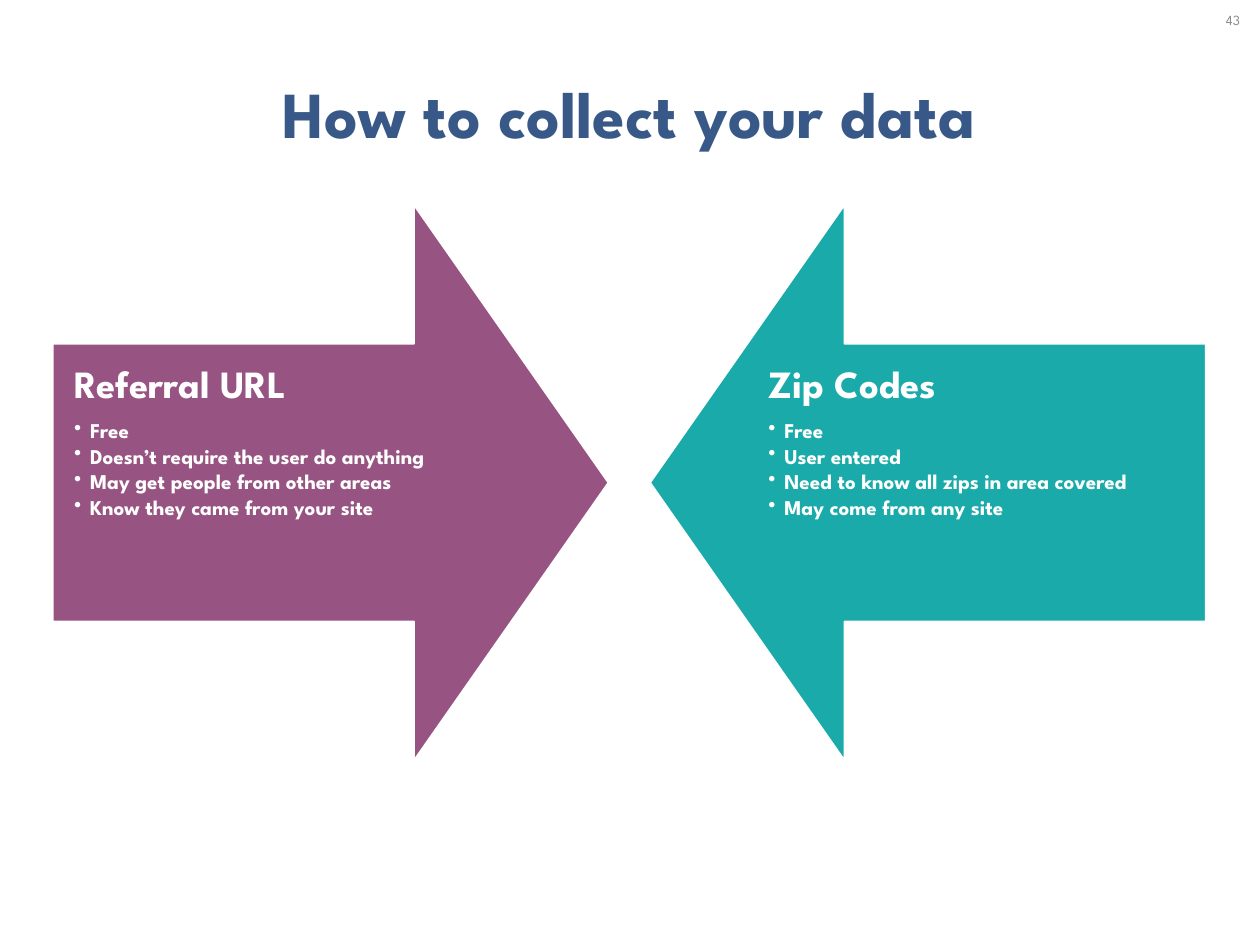
"""Build the slide comparing two ways to collect location data."""
from lxml import etree
from pptx import Presentation
from pptx.dml.color import RGBColor
from pptx.enum.shapes import MSO_SHAPE
from pptx.enum.text import MSO_ANCHOR, MSO_AUTO_SIZE, PP_ALIGN
from pptx.oxml.ns import qn
from pptx.util import Cm, Pt

DOWN_ARROW = MSO_SHAPE.DOWN_ARROW
TOP, MIDDLE = MSO_ANCHOR.TOP, MSO_ANCHOR.MIDDLE
NO_AUTOFIT = MSO_AUTO_SIZE.NONE
LEFT, CENTER = PP_ALIGN.LEFT, PP_ALIGN.CENTER

THEME = {
    "font": "League Spartan",
    "colors": {"white": "FFFFFF", "title": "385988", "number": "8C8C8C",
               "referral": "975381", "zip": "1BAAAA"},
    "sizes": {"title": 75, "heading": 44, "bullet": 24, "number": 16},
}


def color(role):
    return RGBColor.from_string(THEME["colors"][role])


def write(paragraph, text, size, color_role, bold=True, **layout):
    for key, value in layout.items():
        setattr(paragraph, key, value)
    run = paragraph.add_run()
    run.text = text
    font_format = {"name": THEME["font"], "size": Pt(THEME["sizes"][size]), "bold": bold}
    for key, value in font_format.items():
        setattr(run.font, key, value)
    run.font.color.rgb = color(color_role)


deck = Presentation()
deck.slide_width, deck.slide_height = Cm(50.8), Cm(38.1)
slide = deck.slides.add_slide(deck.slide_layouts[5])

title = slide.shapes.title
title_format = {"left": Cm(2.11), "top": Cm(2.67), "width": Cm(46.51), "height": Cm(3.68)}
for key, value in title_format.items():
    setattr(title, key, value)
title.text_frame.auto_size = NO_AUTOFIT
title.text_frame.vertical_anchor = MIDDLE
write(title.text_frame.paragraphs[0], "How to collect your data", "title", "title",
      alignment=CENTER)

page_number = slide.shapes.add_textbox(Cm(48.62), 0, Cm(2.18), Cm(1.6)).text_frame
page_number.word_wrap = True
page_number.vertical_anchor = MIDDLE
write(page_number.paragraphs[0], "43", "number", "number", bold=False, alignment=CENTER)

arrow_top, arrow_size = Cm(8.26), Cm(22.4)
body_width = Cm(18.49)
referral_left, zip_left = Cm(2.13), Cm(26.21)
methods = [
    ("Referral URL", "referral", 270, referral_left, referral_left,
     ["Free", "Doesn’t require the user do anything",
      "May get people from other areas", "Know they came from your site"]),
    ("Zip Codes", "zip", 90, zip_left, zip_left + arrow_size - body_width,
     ["Free", "User entered",
      "Need to know all zips in area covered", "May come from any site"]),
]

for heading, fill_role, rotation, arrow_left, body_left, points in methods:
    arrow = slide.shapes.add_shape(DOWN_ARROW, arrow_left, arrow_top, arrow_size, arrow_size)
    arrow.rotation = rotation
    arrow.adjustments[0], arrow.adjustments[1] = 0.5, 0.35
    arrow.shadow.inherit = False
    arrow.fill.solid()
    arrow.fill.fore_color.rgb = color(fill_role)
    arrow.line.color.rgb = color("white")
    arrow.line.width = Pt(2)

    body = slide.shapes.add_textbox(body_left, arrow_top + arrow_size // 4,
                                    body_width, arrow_size // 2).text_frame
    body_format = {"word_wrap": True, "auto_size": NO_AUTOFIT, "vertical_anchor": TOP,
                   "margin_left": Cm(0.86), "margin_right": Cm(0.86),
                   "margin_top": Cm(0.86), "margin_bottom": Cm(0.86)}
    for key, value in body_format.items():
        setattr(body, key, value)
    write(body.paragraphs[0], heading, "heading", "white",
          alignment=LEFT, line_spacing=0.9, space_after=Pt(15.4))
    for point in points:
        item = body.add_paragraph()
        properties = item._p.get_or_add_pPr()
        properties.set("marL", str(Cm(0.64)))
        properties.set("indent", str(-Cm(0.64)))
        etree.SubElement(properties, qn("a:buChar")).set("char", "•")
        write(item, point, "bullet", "white",
              level=1, alignment=LEFT, line_spacing=0.9, space_after=Pt(3.6))

deck.save("out.pptx")
